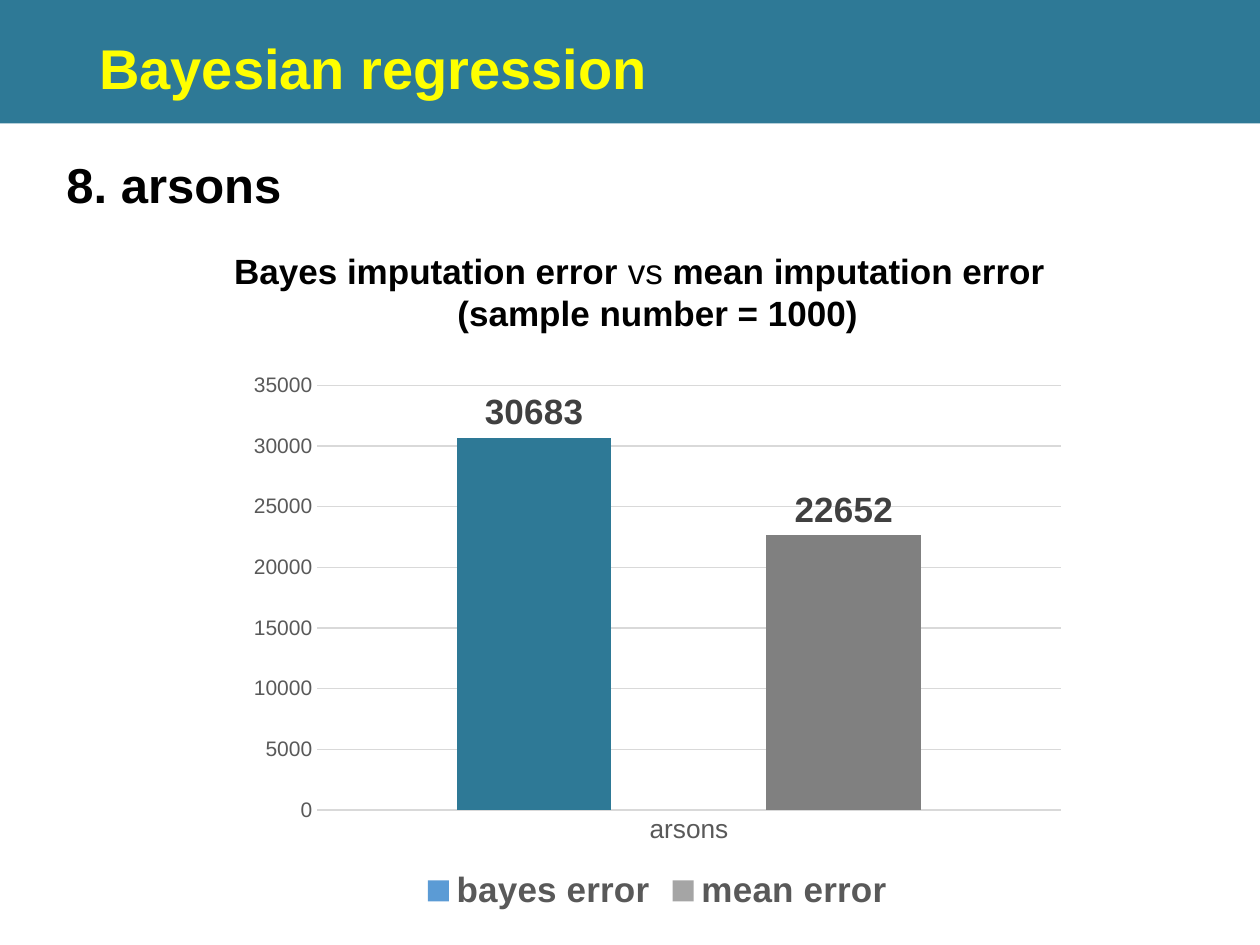
from pptx import Presentation
from pptx.chart.data import CategoryChartData
from pptx.dml.color import RGBColor as RGB
from pptx.enum.chart import (XL_CHART_TYPE as ChartType, XL_LABEL_POSITION as LabelPos,
                             XL_LEGEND_POSITION as LegendPos, XL_TICK_MARK as Tick)
from pptx.enum.shapes import MSO_SHAPE as Shape
from pptx.enum.text import MSO_ANCHOR as Anchor, MSO_AUTO_SIZE as AutoSize, PP_ALIGN as Align
from pptx.util import Cm, Pt

TITLE = [(Align.LEFT, [("Bayesian regression", True)])]
HEADING = [(Align.LEFT, [("8. arsons", True)])]
CAPTION = [
    (Align.LEFT, [("Bayes imputation error ", True), ("vs", False),
                  (" mean imputation error", True)]),
    (Align.CENTER, [("(sample number = 1000)", True)]),
]
CATEGORIES = ["arsons"]
SERIES = [("bayes error", [30683], "5B9BD5", "2E7996"),
          ("mean error", [22652], "A5A5A5", "808080")]

THEME = {
    "font": "Arial",
    "band": "2E7996", "title": "FFFF00", "text": "000000",
    "axis": "595959", "label": "404040", "grid": "D9D9D9",
    "title_size": 32, "heading_size": 28, "body_size": 20,
    "category_size": 15, "value_size": 12, "line": 0.75,
}


def style(font, size, color, bold=False):
    font.name = THEME["font"]
    font.size = Pt(THEME[size])
    font.bold = bold
    font.color.rgb = RGB.from_string(THEME[color])


def paint(fill, color):
    fill.solid()
    fill.fore_color.rgb = RGB.from_string(color)


def rule(line):
    line.color.rgb = RGB.from_string(THEME["grid"])
    line.width = Pt(THEME["line"])


def add_text(s, box, paragraphs, size, color, anchor=Anchor.TOP):
    tf = s.shapes.add_textbox(*map(Cm, box)).text_frame
    tf.word_wrap = True
    tf.auto_size = AutoSize.NONE
    tf.vertical_anchor = anchor
    for i, (align, runs) in enumerate(paragraphs):
        p = tf.paragraphs[0] if i == 0 else tf.add_paragraph()
        p.alignment = align
        for text, bold in runs:
            r = p.add_run()
            r.text = text
            style(r.font, size, color, bold)


def add_band(s, width):
    sp = s.shapes.add_shape(Shape.RECTANGLE, 0, 0, width, Cm(2.49))
    sp.shadow.inherit = False
    paint(sp.fill, THEME["band"])
    sp.line.fill.background()


def add_error_chart(s, box):
    data = CategoryChartData()
    data.categories = CATEGORIES
    for name, values, *_ in SERIES:
        data.add_series(name, values)
    chart = s.shapes.add_chart(ChartType.COLUMN_CLUSTERED, *map(Cm, box), data).chart
    chart.has_title = False
    chart.font.name = THEME["font"]

    chart.has_legend = True
    chart.legend.position = LegendPos.BOTTOM
    chart.legend.include_in_layout = False
    style(chart.legend.font, "body_size", "axis", True)

    for axis, size in ((chart.category_axis, "category_size"),
                       (chart.value_axis, "value_size")):
        axis.major_tick_mark = axis.minor_tick_mark = Tick.NONE
        style(axis.tick_labels.font, size, "axis")
    rule(chart.category_axis.format.line)
    chart.value_axis.format.line.fill.background()
    rule(chart.value_axis.major_gridlines.format.line)

    plot = chart.plots[0]
    plot.gap_width = 180
    plot.overlap = -100
    plot.vary_by_categories = False
    for series, (_, _, key_color, bar_color) in zip(plot.series, SERIES):
        paint(series.format.fill, key_color)
        paint(series.points[0].format.fill, bar_color)
        labels = series.data_labels
        labels.show_value = True
        labels.position = LabelPos.OUTSIDE_END
        style(labels.font, "body_size", "label", True)


def main():
    prs = Presentation()
    prs.slide_width, prs.slide_height = Cm(25.4), Cm(19.05)
    s = prs.slides.add_slide(prs.slide_layouts[6])
    add_band(s, prs.slide_width)
    add_text(s, (1.75, 0.56, 23.01, 1.6), TITLE, "title_size", "title", Anchor.MIDDLE)
    add_text(s, (1.09, 3, 11.53, 1.45), HEADING, "heading_size", "text")
    add_error_chart(s, (4.78, 7.32, 16.94, 11.18))
    add_text(s, (4.47, 4.9, 17.58, 1.96), CAPTION, "body_size", "text")
    prs.save("out.pptx")


if __name__ == "__main__":
    main()
